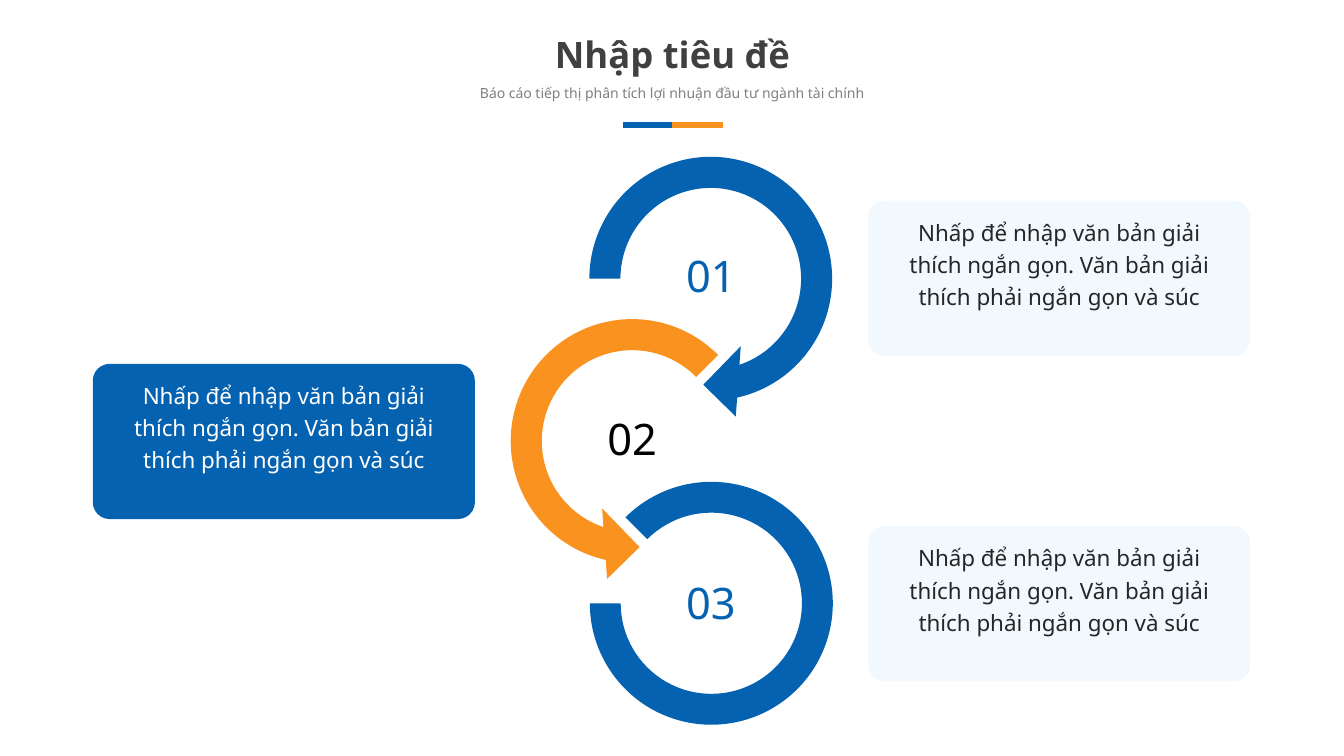
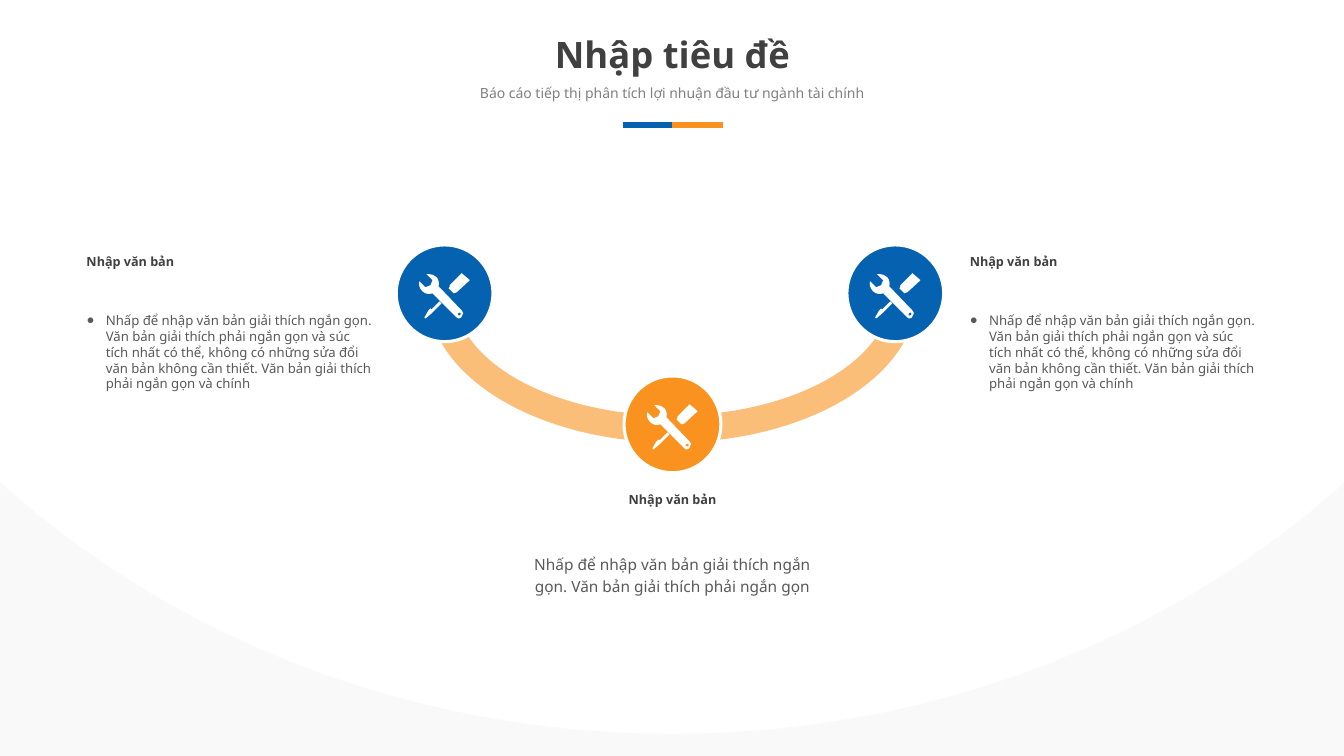
from dataclasses import dataclass

from lxml.etree import SubElement
from pptx import Presentation
from pptx.dml.color import RGBColor
from pptx.enum.shapes import MSO_CONNECTOR, MSO_SHAPE
from pptx.enum.text import MSO_ANCHOR, MSO_AUTO_SIZE, PP_ALIGN
from pptx.oxml.ns import qn
from pptx.util import Inches, Pt

# Shared look
FONT = "Noto Sans"
BLUE, ORANGE, PEACH = "0562B0", "F9921E", "FBBE78"
PALE, GRAY, WHITE, BLACK = "BFE1FD", "F2F2F2", "FFFFFF", "000000"
DARK, TITLE, BODY, MUTED = "262626", "404040", "595959", "808080"
TITLE_TEXT = "Nhập tiêu đề"
SUBTITLE = "Báo cáo tiếp thị phân tích lợi nhuận đầu tư ngành tài chính"
CARD_TEXT = ("Nhấp để nhập văn bản giải thích ngắn gọn. "
             "Văn bản giải thích phải ngắn gọn và súc")
HEADING = "Nhập văn bản"
LIST_TEXT = ("Nhấp để nhập văn bản giải thích ngắn gọn. Văn bản giải thích phải "
             "ngắn gọn và súc tích nhất có thể, không có những sửa đổi văn bản "
             "không cần thiết. Văn bản giải thích phải ngắn gọn và chính")
CENTER_TEXT = ("Nhấp để nhập văn bản giải thích ngắn gọn. "
               "Văn bản giải thích phải ngắn gọn")


@dataclass(frozen=True)
class Box:
    left: float
    top: float
    width: float
    height: float

    def emu(self) -> list:
        return [Inches(v) for v in (self.left, self.top, self.width, self.height)]


@dataclass(frozen=True)
class Ring:
    shape: MSO_SHAPE
    box: Box
    adjustments: tuple
    color: str
    label: str
    label_color: str
    label_left: float
    label_top: float


@dataclass(frozen=True)
class Card:
    left: float
    top: float
    fill: str
    opacity: int
    color: str


@dataclass(frozen=True)
class Node:
    left: float
    top: float
    color: str


RINGS = (
    Ring(MSO_SHAPE.CIRCULAR_ARROW, Box(5.65, 1.36, 2.8, 2.81),
         (0.11, 11.423, 45, 108, 0.125), BLUE, "01", BLUE, 6.27, 2.37),
    Ring(MSO_SHAPE.LEFT_CIRCULAR_ARROW, Box(4.87, 2.97, 2.8, 2.81),
         (0.11, 11.423, 63, 189, 0.125), ORANGE, "02", BLACK, 5.49, 3.99),
    Ring(MSO_SHAPE.BLOCK_ARC, Box(5.85, 4.78, 2.41, 2.41),
         (135, 108, 0.127), BLUE, "03", BLUE, 6.27, 5.62),
)
CARDS = (
    Card(8.61, 1.99, PALE, 20, DARK),
    Card(0.92, 3.61, BLUE, 100, WHITE),
    Card(8.61, 5.22, PALE, 20, DARK),
)
NODES = (Node(3.93, 2.43, BLUE), Node(8.4, 2.43, BLUE), Node(6.19, 3.73, ORANGE))

# Outlines: a pair is a corner, six numbers are a cubic curve
TOOLS = (
    ((40, 39), (39, 39, 38, 40, 38, 41), (38, 42, 39, 42, 40, 42),
     (41, 42, 41, 42, 41, 41), (41, 40, 41, 39, 40, 39)),
    ((20, 28), (22, 30), (14, 38), (12, 40), (6, 45), (5, 44), (9, 37),
     (11, 35), (12, 36)),
    ((10, 1), (12, 1, 15, 2, 17, 4), (19, 6, 20, 10, 19, 13), (42, 37),
     (44, 38, 44, 41, 42, 43), (42, 44, 40, 45, 39, 45),
     (38, 45, 37, 44, 36, 43), (13, 20), (10, 21, 6, 21, 3, 18),
     (0, 15, -1, 11, 0, 8), (6, 14), (11, 12), (13, 7), (7, 1),
     (8, 1, 9, 1, 10, 1)),
    ((42, 0), (50, 7), (37, 19), (36, 19, 35, 20, 34, 20), (29, 15),
     (30, 15, 30, 13, 30, 12), (42, 0)),
)
FLOOR = (
    ((0, 4.78), (0.02, 4.8), (1.72, 6.33, 4.07, 7.28, 6.67, 7.28),
     (9.26, 7.28, 11.61, 6.33, 13.32, 4.8), (13.33, 4.78), (13.33, 7.5), (0, 7.5)),
)


def rgb(color: str) -> RGBColor:
    return RGBColor.from_string(color)


def paint(sp, color: str = "", opacity: int = 100, line: str = "") -> None:
    """Fill a shape, or leave it clear, with an optional outline and no shadow."""
    sp.shadow.inherit = False
    if color:
        sp.fill.solid()
        sp.fill.fore_color.rgb = rgb(color)
    else:
        sp.fill.background()
    if opacity < 100:
        clr = sp._element.spPr.find(qn("a:solidFill"))[0]
        SubElement(clr, qn("a:alpha")).set("val", str(opacity * 1000))
    if line:
        sp.line.color.rgb = rgb(line)
        sp.line.width = Pt(2.25)
    else:
        sp.line.fill.background()


def write(sp, text: str, *, size: float, color: str, bold: bool = False,
          align=PP_ALIGN.CENTER, spacing: float = 1.0, anchor=MSO_ANCHOR.TOP,
          inset: tuple = (0.1, 0.05), wrap: bool = True, bullet: str = "") -> None:
    """Put one formatted paragraph into a shape."""
    tf = sp.text_frame
    tf.auto_size = MSO_AUTO_SIZE.NONE
    tf.word_wrap = wrap
    tf.vertical_anchor = anchor
    tf.margin_left = tf.margin_right = Inches(inset[0])
    tf.margin_top = tf.margin_bottom = Inches(inset[1])
    p = tf.paragraphs[0]
    p.alignment = align
    p.line_spacing = spacing
    p.space_before = Pt(0)
    if bullet:
        pPr = p._p.get_or_add_pPr()
        pPr.set("marL", str(Inches(0.19)))
        pPr.set("indent", str(-Inches(0.19)))
        SubElement(pPr, qn("a:buChar")).set("char", bullet)
    r = p.add_run()
    r.text = text
    r.font.name = FONT
    r.font.size = Pt(size)
    r.font.bold = bold
    r.font.color.rgb = rgb(color)


def add_text(slide, box: Box, text: str, **fmt) -> None:
    write(slide.shapes.add_textbox(*box.emu()), text, **fmt)


def fill_placeholder(sp, box: Box, text: str, **fmt) -> None:
    sp.left, sp.top, sp.width, sp.height = box.emu()
    write(sp, text, **fmt)


def add_preset(slide, shape: MSO_SHAPE, box: Box, adjustments: tuple = ()):
    sp = slide.shapes.add_shape(shape, *box.emu())
    for i, value in enumerate(adjustments):
        sp.adjustments[i] = value
    return sp


def add_outline(slide, outlines: tuple, left: float = 0, top: float = 0,
                unit: float = 1):
    """Draw closed outlines as one freeform, then bend its curved segments."""
    def place(x: float, y: float) -> tuple:
        return Inches(left + x * unit), Inches(top + y * unit)

    builder = None
    for outline in outlines:
        ends = [place(*step[-2:]) for step in outline]
        if builder is None:
            builder = slide.shapes.build_freeform(*ends[0])
        else:
            builder.move_to(*ends[0])
        builder.add_line_segments(ends[1:], close=True)
    sp = builder.convert_to_shape()
    steps = [step for outline in outlines for step in outline[1:]]
    for step, segment in zip(steps, list(sp._element.iter(qn("a:lnTo")))):
        if len(step) == 6:
            segment.tag = qn("a:cubicBezTo")
            segment.remove(segment[0])
            for i in (0, 2, 4):
                x, y = place(*step[i:i + 2])
                pt = SubElement(segment, qn("a:pt"))
                pt.set("x", str(x - sp.left))
                pt.set("y", str(y - sp.top))
    return sp


def add_header(slide) -> None:
    """Title, subtitle and two-colour rule."""
    fill_placeholder(slide.shapes.title, Box(5.39, 0.27, 2.56, 0.54), TITLE_TEXT,
                     size=26, color=TITLE, bold=True, wrap=False)
    add_text(slide, Box(3.62, 0.79, 6.09, 0.27), SUBTITLE, size=10, color=MUTED)
    for left, color in ((6.18, BLUE), (6.67, ORANGE)):
        line = slide.shapes.add_connector(MSO_CONNECTOR.STRAIGHT, Inches(left),
                                          Inches(1.24), Inches(left + 0.5), Inches(1.24))
        line.line.color.rgb = rgb(color)
        line.line.width = Pt(4.5)
        SubElement(line._element.spPr, qn("a:effectLst"))


def build_rings(prs) -> None:
    slide = prs.slides.add_slide(prs.slide_layouts[5])
    add_header(slide)
    # Numbered rings
    for ring in RINGS:
        paint(add_preset(slide, ring.shape, ring.box, ring.adjustments), ring.color)
        label = add_preset(slide, MSO_SHAPE.RECTANGLE,
                           Box(ring.label_left, ring.label_top, 1.56, 0.78))
        paint(label)
        write(label, ring.label, size=31, color=ring.label_color, spacing=0.9,
              anchor=MSO_ANCHOR.MIDDLE, inset=(0.02, 0.02))
    # Text cards
    for card in CARDS:
        sp = add_preset(slide, MSO_SHAPE.ROUNDED_RECTANGLE,
                        Box(card.left, card.top, 3.79, 1.54), (0.109,))
        paint(sp, card.fill, card.opacity)
        write(sp, CARD_TEXT, size=16, color=card.color, spacing=1.2, inset=(0.2, 0.08))


def build_arc(prs) -> None:
    slide = prs.slides.add_slide(prs.slide_layouts[3])
    # Curved floor and arc
    paint(add_outline(slide, FLOOR), GRAY, 42)
    paint(add_preset(slide, MSO_SHAPE.BLOCK_ARC, Box(4.24, 1.43, 4.86, 2.96),
                     (0, 108, 0.09)), PEACH)
    add_header(slide)
    # Round nodes with tool icons
    for node in NODES:
        paint(add_preset(slide, MSO_SHAPE.OVAL, Box(node.left, node.top, 0.96, 0.96)),
              node.color, line=WHITE)
        paint(add_outline(slide, TOOLS, node.left + 0.23, node.top + 0.28, 0.01), WHITE)
    # Side lists and centre text
    for index, left in ((1, 0.76), (2, 9.52)):
        add_text(slide, Box(left, 2.47, 3.06, 0.56), HEADING, size=9, color=TITLE,
                 bold=True, align=PP_ALIGN.LEFT)
        fill_placeholder(slide.placeholders[index], Box(left, 3.05, 3.05, 0.91),
                         LIST_TEXT, size=9.4, color=BODY, align=PP_ALIGN.LEFT,
                         bullet="●")
    add_text(slide, Box(5.14, 4.83, 3.06, 0.56), HEADING, size=9, color=TITLE, bold=True)
    add_text(slide, Box(5.14, 5.42, 3.06, 0.91), CENTER_TEXT, size=11, color=BODY,
             spacing=1.2)


def main() -> None:
    prs = Presentation()
    prs.slide_width, prs.slide_height = Inches(13.33), Inches(7.5)
    build_rings(prs)
    build_arc(prs)
    prs.save("out.pptx")


if __name__ == "__main__":
    main()
